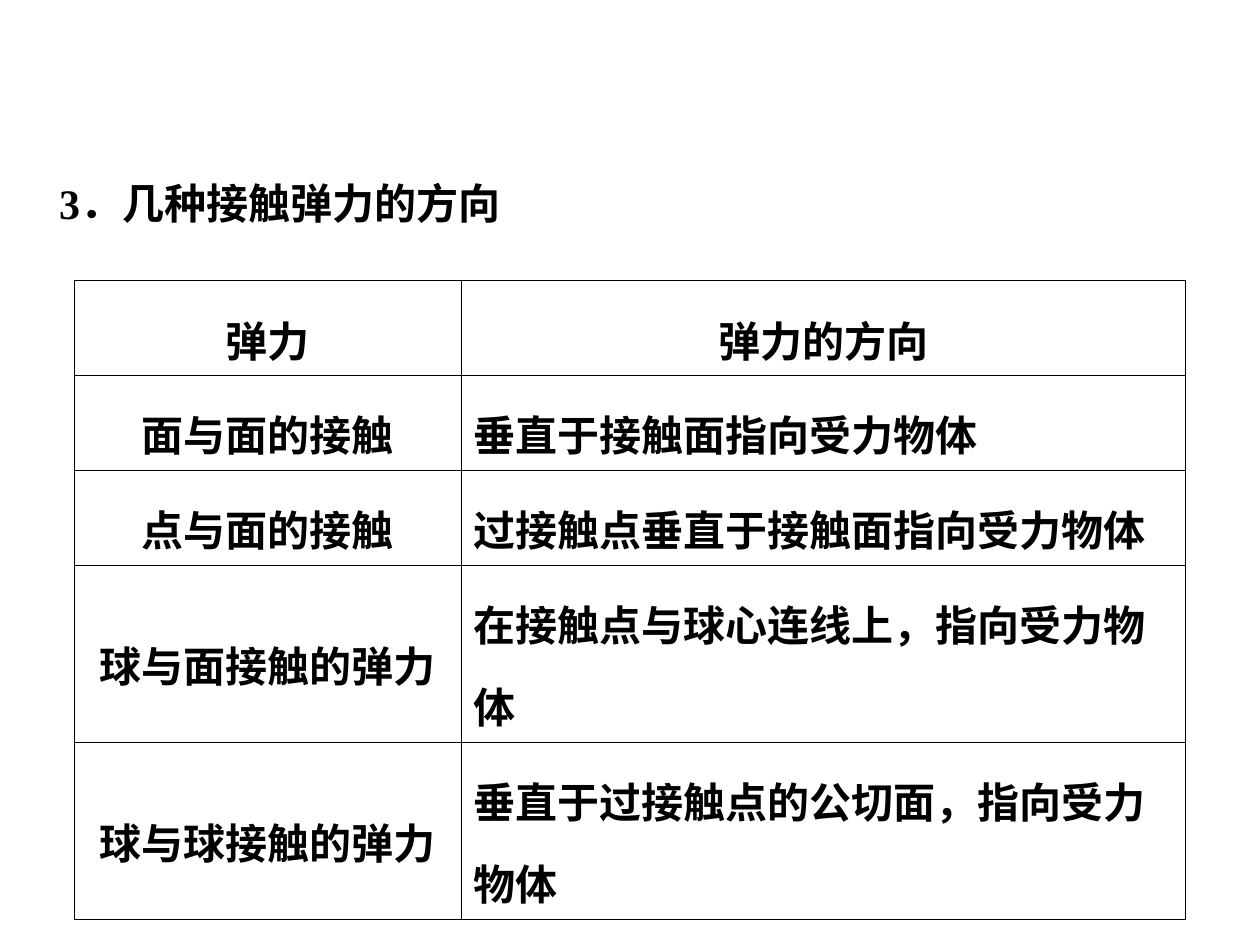
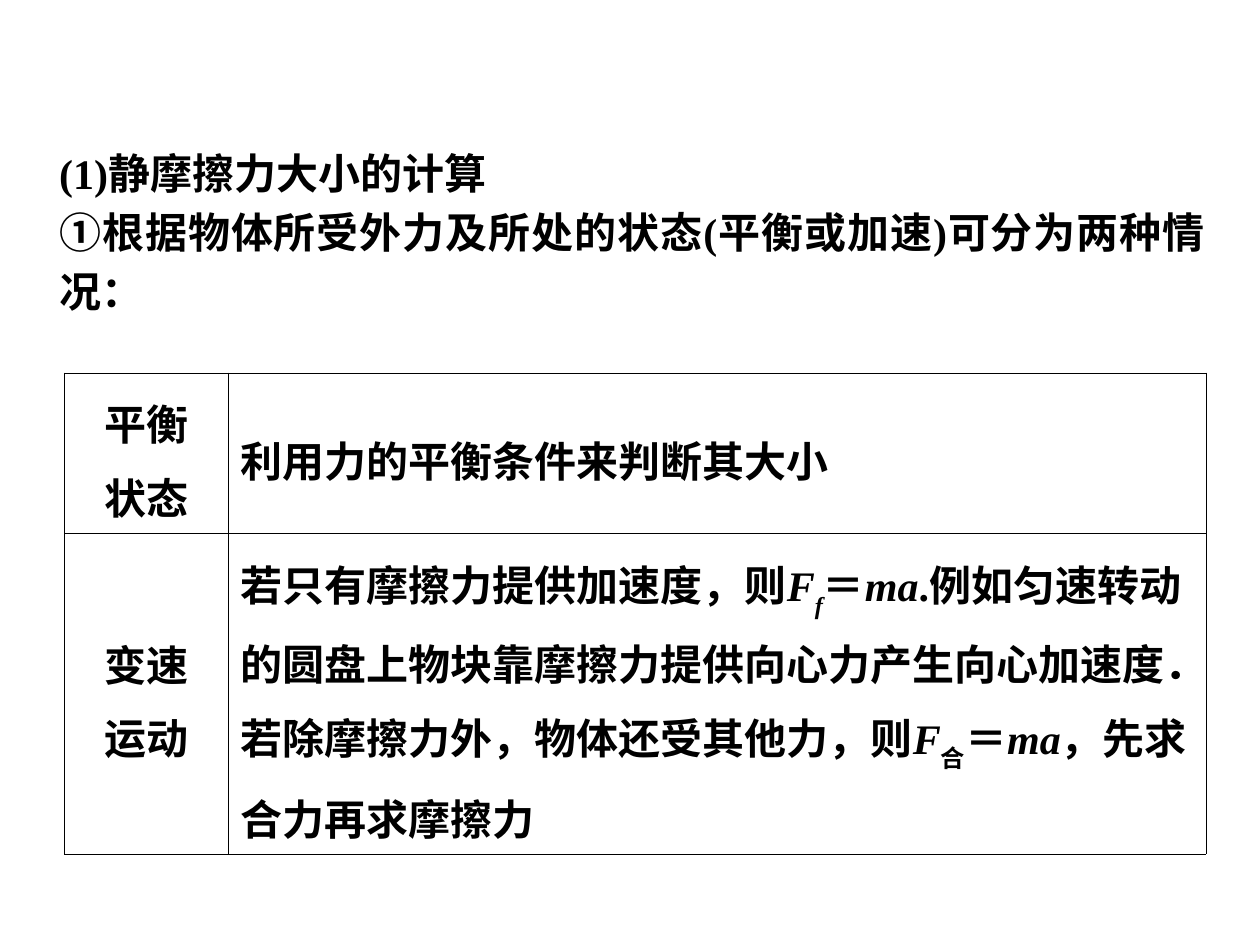
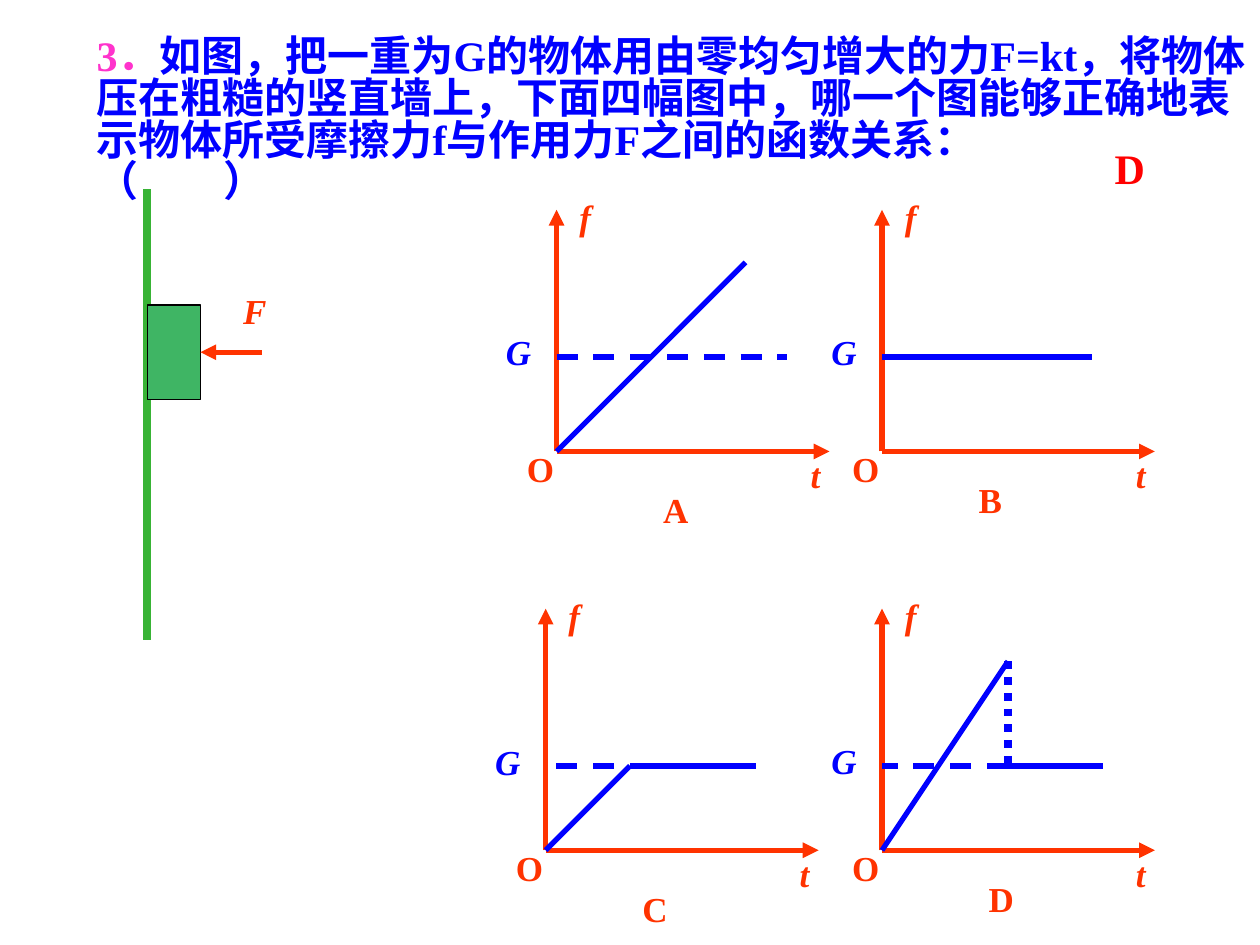
from lxml import etree
from pptx import Presentation
from pptx.dml.color import RGBColor
from pptx.enum.dml import MSO_LINE
from pptx.enum.shapes import MSO_CONNECTOR, MSO_SHAPE
from pptx.enum.text import MSO_ANCHOR, MSO_AUTO_SIZE, PP_ALIGN
from pptx.oxml.ns import qn
from pptx.util import Cm, Pt

LEFT, CENTER, JUSTIFY = PP_ALIGN.LEFT, PP_ALIGN.CENTER, PP_ALIGN.JUSTIFY
TOP, MIDDLE = MSO_ANCHOR.TOP, MSO_ANCHOR.MIDDLE
DASH, DOT = MSO_LINE.DASH, MSO_LINE.ROUND_DOT
STRAIGHT, RECTANGLE = MSO_CONNECTOR.STRAIGHT, MSO_SHAPE.RECTANGLE
TITLE_ONLY, BLANK = 5, 6
LATIN, CJK = "Times New Roman", "Noto Sans CJK SC"
COLORS = {
    "ink": "000000", "paper": "FFFFFF", "question": "0000FF", "number": "FF33CC",
    "axis": "FF3300", "curve": "0000FF", "answer": "FF0000",
    "wall": "38B335", "block": "3FB564",
}


def rgb(name):
    return RGBColor.from_string(COLORS[name])


def write(frame, paragraphs, color="ink", size=24, align=LEFT, spacing=None,
          italic=None, anchor=TOP, tab=None):
    """Fill a frame; each paragraph is a list of plain strings or (text, style) pairs."""
    frame.word_wrap = True
    frame.vertical_anchor = anchor
    for index, pieces in enumerate(paragraphs):
        paragraph = frame.paragraphs[0] if index == 0 else frame.add_paragraph()
        paragraph.alignment = align
        if spacing:
            paragraph.line_spacing = spacing
        properties = paragraph._p.get_or_add_pPr()
        if tab:
            tabs = etree.SubElement(properties, qn("a:tabLst"))
            etree.SubElement(tabs, qn("a:tab"), pos=str(Cm(tab)), algn="l")
        font = paragraph.font
        font.name, font.size, font.bold, font.italic = LATIN, Pt(size), True, italic
        font.color.rgb = rgb(color)
        etree.SubElement(properties.find(qn("a:defRPr")), qn("a:ea"), typeface=CJK)
        for piece in pieces:
            text, style = (piece, {}) if isinstance(piece, str) else piece
            add_run(paragraph, text, **style)


def add_run(paragraph, text, italic=None, subscript=False, font=None, color=None):
    # A line break inside a run is written as "\n".
    for index, line in enumerate(text.split("\n")):
        if index:
            paragraph.add_line_break()
        run = paragraph.add_run()
        run.text = line
        if italic:
            run.font.italic = True
        if font:
            run.font.name = font
        if color:
            run.font.color.rgb = rgb(color)
        if subscript:
            run._r.get_or_add_rPr().set("baseline", "-30000")


def add_heading(slide, top, height, paragraphs):
    heading = slide.shapes.title
    heading.left, heading.top, heading.width, heading.height = (
        Cm(0.94), Cm(top), Cm(23.6), Cm(height))
    heading.text_frame.auto_size = MSO_AUTO_SIZE.NONE
    write(heading.text_frame, paragraphs, align=JUSTIFY, spacing=1.17)


def add_borders(cell):
    properties = cell._tc.get_or_add_tcPr()
    for position, side in enumerate(("a:lnL", "a:lnR", "a:lnT", "a:lnB")):
        border = etree.Element(qn(side), w=str(Pt(0.45)))
        fill = etree.SubElement(border, qn("a:solidFill"))
        etree.SubElement(fill, qn("a:srgbClr"), val=COLORS["ink"])
        properties.insert(position, border)


def add_grid(slide, left, top, widths, heights, rows, spacing, header=False):
    """Ruled table whose first column, and header row if any, is centred."""
    grid = slide.shapes.add_table(len(rows), len(widths), Cm(left), Cm(top),
                                  Cm(sum(widths)), Cm(sum(heights))).table
    grid.first_row = grid.horz_banding = False
    for column, width in zip(grid.columns, widths):
        column.width = Cm(width)
    for r, (row, height) in enumerate(zip(rows, heights)):
        grid.rows[r].height = Cm(height)
        for c, paragraphs in enumerate(row):
            cell = grid.cell(r, c)
            cell.fill.background()
            cell.vertical_anchor = MIDDLE
            add_borders(cell)
            centred = c == 0 or (header and r == 0)
            write(cell.text_frame, paragraphs, spacing=spacing, anchor=MIDDLE,
                  align=CENTER if centred else LEFT)


def add_line(slide, start, end, color, width=3, dash=None, arrow=False):
    line = slide.shapes.add_connector(STRAIGHT, *(Cm(v) for v in (*start, *end)))
    line.line.color.rgb = rgb(color)
    line.line.width = Pt(width)
    if dash:
        line.line.dash_style = dash
    properties = line._element.spPr
    if arrow:
        etree.SubElement(properties.find(qn("a:ln")), qn("a:tailEnd"), type="triangle")
    etree.SubElement(properties, qn("a:effectLst"))
    return line


def add_rectangle(slide, left, top, width, height, fill):
    rectangle = slide.shapes.add_shape(RECTANGLE, Cm(left), Cm(top), Cm(width), Cm(height))
    rectangle.shadow.inherit = False
    rectangle.fill.solid()
    rectangle.fill.fore_color.rgb = rgb(fill)
    rectangle.line.fill.background()
    return rectangle


def add_label(slide, left, top, text, color="axis", italic=None, width=1.7, size=20):
    label = slide.shapes.add_textbox(Cm(left), Cm(top), Cm(width), Cm(size * 0.056))
    write(label.text_frame, [[text]], color, size, italic=italic)


def add_question(slide, left, top, width, height):
    question = add_rectangle(slide, left, top, width, height, "paper")
    question.text_frame.margin_left = Cm(1.52)
    write(question.text_frame, [[
        ("3．", {"color": "number"}),
        "如图，把一重为G的物体用由零均匀增大的力F=kt，将物体压在粗糙的竖直墙上，"
        "下面四幅图中，哪一个图能够正确地表示物体所受摩擦力f与作用力F之间的函数关系："
        "\n（\t）",
    ]], "question", spacing=0.83, tab=2.56)


def add_wall_and_block(slide, left, top):
    add_line(slide, (left, top), (left, top + 9.09), "wall", 4.5)
    block = add_rectangle(slide, left, top + 2.34, 1.07, 1.9, "block")
    block.line.color.rgb = rgb("ink")
    block.line.width = Pt(0.75)
    force_y = top + 3.29
    force = add_line(slide, (left + 2.31, force_y), (left + 1.07, force_y), "axis", arrow=True)
    force.end_connect(block, 3)
    add_label(slide, left + 1.68, top + 1.91, "F", italic=True)


def add_graph(slide, x, y, name, name_offset, g_offset, curves):
    """Axes, labels and curves around the origin (x, y); curve points count upwards."""
    add_line(slide, (x, y), (x + 5.5, y), "axis", arrow=True)
    add_line(slide, (x, y), (x, y - 4.87), "axis", arrow=True)
    add_label(slide, x + 0.21, y - 5.29, "f", italic=True, width=1.27)
    add_label(slide, x - 0.85, y - 0.2, "O", width=1.48)
    add_label(slide, x + 4.87, y - 0.08, "t", italic=True, width=1.9)
    for (x1, y1), (x2, y2), *style in curves:
        add_line(slide, (x + x1, y - y1), (x + x2, y - y2), "curve", *style)
    add_label(slide, x - 1.27, y - g_offset, "G", "curve", italic=True, width=1.27)
    add_label(slide, x + name_offset[0], y + name_offset[1], name)


def build_contact_slide(slide):
    add_heading(slide, 3.28, 1.68, [["3．几种接触弹力的方向"]])
    rows = [
        ("弹力", "弹力的方向"),
        ("面与面的接触", "垂直于接触面指向受力物体"),
        ("点与面的接触", "过接触点垂直于接触面指向受力物体"),
        ("球与面接触的弹力", "在接触点与球心连线上，指向受力物体"),
        ("球与球接触的弹力", "垂直于过接触点的公切面，指向受力物体"),
    ]
    add_grid(slide, 1.5, 5.66, (7.8, 14.6), (1.63, 1.63, 1.63, 3, 3),
             [[[[text]] for text in row] for row in rows], 1.35, header=True)


def build_friction_slide(slide):
    add_heading(slide, 2.67, 4.52, [
        ["(1)静摩擦力大小的计算"],
        [("①", {"font": CJK}),
         "根据物体所受外力及所处的状态(平衡或加速)可分为两种情况："],
    ])
    italic = {"italic": True}
    variable_motion = [
        "若只有摩擦力提供加速度，则", ("F", italic),
        ("f", {"italic": True, "subscript": True}), "＝", ("ma", italic),
        ".例如匀速转动的圆盘上物块靠摩擦力提供向心力产生向心加速度．"
        "若除摩擦力外，物体还受其他力，则",
        ("F", italic), ("合", {"subscript": True}), "＝", ("ma", italic),
        "，先求合力再求摩擦力",
    ]
    add_grid(slide, 1.3, 7.52, (3.3, 19.71), (3.23, 6.17), [
        [[["平衡"], ["状态"]], [["利用力的平衡条件来判断其大小"]]],
        [[["变速"], ["运动"]], [variable_motion]],
    ], 1.2)


def build_question_slide(slide):
    add_question(slide, 0.43, 0.64, 24.97, 4.32)
    add_wall_and_block(slide, 2.97, 3.81)
    weight, limit, peak = 1.9, 1.7, 3.81
    add_graph(slide, 11.22, 9.1, "A", (1.9, 0.63), 2.57, [
        ((0, 0), (peak, peak)),
        ((0, weight), (4.65, weight), 3, DASH),
    ])
    add_graph(slide, 17.78, 9.1, "B", (1.7, 0.42), 2.57, [((0, weight), (4.23, weight))])
    add_graph(slide, 11, 17.14, "C", (1.7, 0.63), 2.34, [
        ((0, 0), (limit, limit)),
        ((2.12, limit), (4.24, limit)),
        ((2.12, limit), (0, limit), 3, DASH),
    ])
    add_graph(slide, 17.78, 17.14, "D", (1.9, 0.42), 2.36, [
        ((0, 0), (2.54, peak)),
        ((2.54, peak), (2.54, limit), 4.5, DOT),
        ((2.54, limit), (4.45, limit)),
        ((2.54, limit), (0, limit), 3, DASH),
    ])
    add_label(slide, 22.22, 2.74, "D", "answer", width=1.12, size=24)


def main():
    deck = Presentation()
    deck.slide_width, deck.slide_height = Cm(25.4), Cm(19.05)
    for layout, build in ((TITLE_ONLY, build_contact_slide),
                          (TITLE_ONLY, build_friction_slide),
                          (BLANK, build_question_slide)):
        build(deck.slides.add_slide(deck.slide_layouts[layout]))
    deck.save("out.pptx")


if __name__ == "__main__":
    main()
